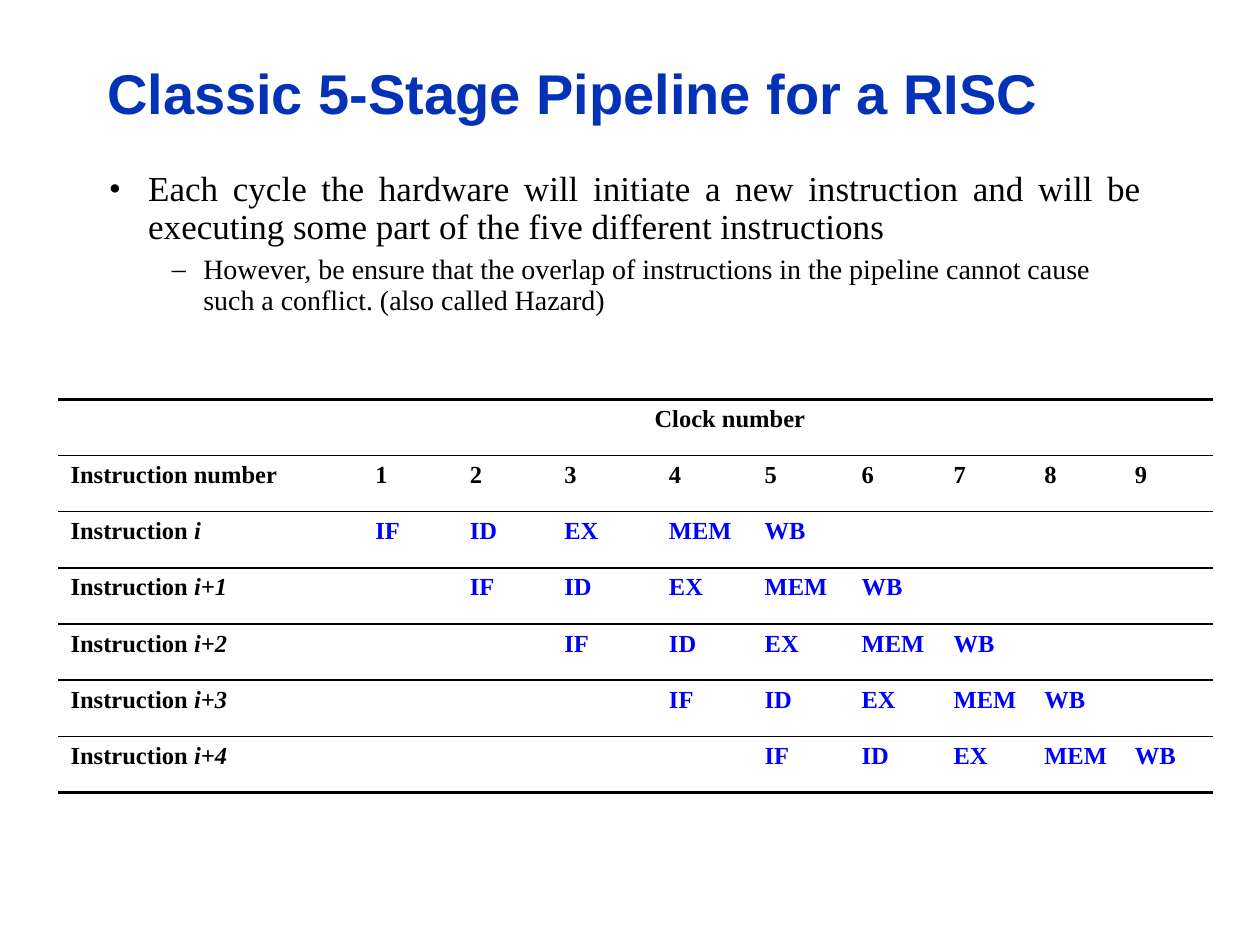
from lxml.etree import SubElement as Sub, Element
from pptx import Presentation
from pptx.dml.color import RGBColor as Rgb
from pptx.enum.text import MSO_ANCHOR as Anchor, MSO_AUTO_SIZE as Fit, PP_ALIGN as Align
from pptx.oxml.ns import qn
from pptx.util import Pt

HUES = {"title": "0332B7", "text": "000000", "stage": "0000FF"}
SERIF = "Times New Roman"


def write(para, text, size=14, font=SERIF, hue="text", bold=False, slant=False):
    run = para.add_run()
    run.text = text
    run.font.size = Pt(size)
    run.font.name = font
    run.font.bold = bold
    run.font.italic = slant
    run.font.color.rgb = Rgb.from_string(HUES[hue])


class Page:
    def __init__(self, deck):
        self.slide = deck.slides.add_slide(deck.slide_layouts[1])

    def place(self, shape, box, anchor):
        shape.left, shape.top, shape.width, shape.height = map(Pt, box)
        frame = shape.text_frame
        frame.word_wrap = True
        frame.auto_size = Fit.NONE
        frame.vertical_anchor = anchor
        return frame

    def title(self, text, box):
        para = self.place(self.slide.shapes.title, box, Anchor.MIDDLE).paragraphs[0]
        para.alignment = Align.LEFT
        para.line_spacing = 0.9
        write(para, text, size=32, font="Arial", hue="title", bold=True)

    def bullets(self, items, box):
        frame = self.place(self.slide.placeholders[1], box, Anchor.TOP)
        for pos, (text, size, mark, left, hang, align) in enumerate(items):
            para = frame.add_paragraph() if pos else frame.paragraphs[0]
            para.level = pos
            para.alignment = align
            para.line_spacing = 0.9
            para.space_before = Pt(0.3 * size)
            props = para._p.get_or_add_pPr()
            props.set("marL", str(Pt(left)))
            props.set("indent", str(Pt(-hang)))
            Sub(props, qn("a:buFont"), typeface=SERIF)
            Sub(props, qn("a:buChar"), char=mark)
            write(para, text, size=size)

    def edges(self, cell, top, bottom):
        props = cell._tc.get_or_add_tcPr()
        sides = (("L", 0), ("R", 0), ("T", top), ("B", bottom))
        for pos, (side, width) in enumerate(sides):
            line = Element(qn("a:ln" + side), w=str(Pt(width)))
            if width:
                fill = Sub(line, qn("a:solidFill"))
                Sub(fill, qn("a:srgbClr"), val=HUES["text"])
            else:
                Sub(line, qn("a:noFill"))
            props.insert(pos, line)

    def cell(self, cell, text, **style):
        para = cell.text_frame.paragraphs[0]
        para.space_before = Pt(2.8)
        write(para, text, bold=True, **style)
        return para

    def table(self, count, widths, left, top, height):
        frame = self.slide.shapes.add_table(
            count, len(widths), Pt(left), Pt(top), Pt(sum(widths)), Pt(height * count))
        grid = frame.table
        grid.first_row = grid.horz_banding = False
        for col, width in zip(grid.columns, widths):
            col.width = Pt(width)
        for num, row in enumerate(grid.rows):
            row.height = Pt(height)
            for cell in row.cells:
                cell.fill.background()
                self.edges(cell, 1 if num else 2.25, 2.25 if num == count - 1 else 1)
        return grid


deck = Presentation()
deck.slide_width, deck.slide_height = Pt(720), Pt(540)
page = Page(deck)
page.title("Classic 5-Stage Pipeline for a RISC", (54, 26, 574.5, 58))
page.bullets([
    ("Each cycle the hardware will initiate a new instruction and will be "
     "executing some part of the five different instructions",
     20, "•", 22.5, 22.5, Align.JUSTIFY),
    ("However, be ensure that the overlap of instructions in the pipeline "
     "cannot cause such a conflict. (also called Hazard)",
     16, "–", 54, 18, Align.LEFT),
], (55, 94.5, 604.5, 388))

STAGES = ("IF", "ID", "EX", "MEM", "WB")
WIDTHS = (174.2, 54, 54, 59.8, 54.7, 55.4, 52.6, 51.8, 51.8, 51.8)
grid = page.table(7, WIDTHS, 33.1, 228.2, 32.1)
grid.cell(0, 0).merge(grid.cell(0, 9))
clock = page.cell(grid.cell(0, 0), "Clock number")
clock.alignment = Align.CENTER
clock._p.get_or_add_pPr().set("marL", str(Pt(108)))
page.cell(grid.cell(1, 0), "Instruction number")
for tick in range(1, 10):
    page.cell(grid.cell(1, tick), str(tick))
for step in range(5):
    label = page.cell(grid.cell(step + 2, 0), "Instruction ")
    write(label, f"i+{step}" if step else "i", bold=True, slant=True)
    for tick, stage in enumerate(STAGES, step + 1):
        page.cell(grid.cell(step + 2, tick), stage, hue="stage")

deck.save("out.pptx")
